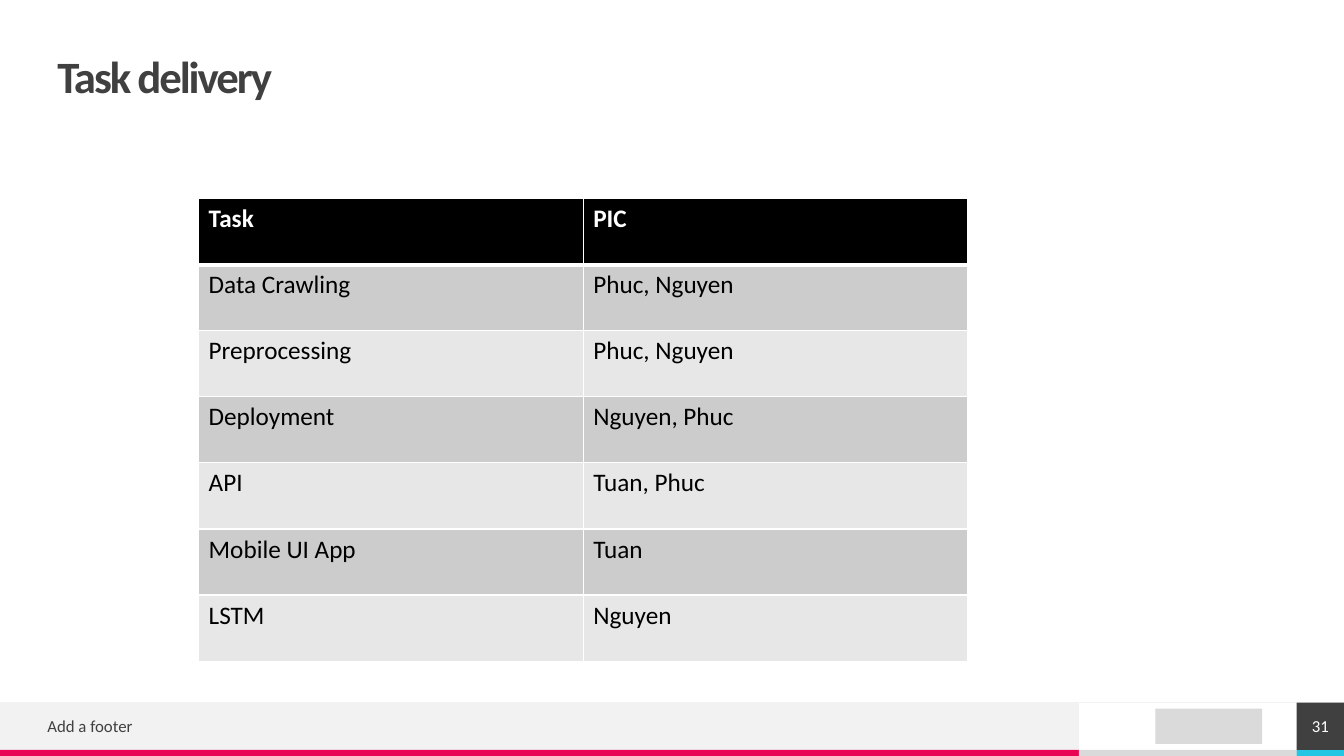
"""Build the task delivery slide."""
from lxml import etree
from pptx import Presentation
from pptx import util as u
from pptx.dml.color import RGBColor
from pptx.enum import shapes, text
from pptx.oxml.ns import qn

COLOURS = {
    "white": "FFFFFF", "black": "000000", "ink": "404040",
    "band": "F2F2F2", "stripe": "DADADA", "pink": "E80554", "cyan": "25C6E3",
    "odd_row": "CCCCCC", "even_row": "E7E7E7",
}
FONT = "Calibri"
TASKS = [
    ("Task", "PIC"),
    ("Data Crawling", "Phuc, Nguyen"),
    ("Preprocessing", "Phuc, Nguyen"),
    ("Deployment", "Nguyen, Phuc"),
    ("API", "Tuan, Phuc"),
    ("Mobile UI App", "Tuan"),
    ("LSTM", "Nguyen"),
]


def colour(name):
    """Return the named colour."""
    return RGBColor.from_string(COLOURS[name])


def add_run(paragraph, words, size, ink, bold=False, spacing=0):
    """Append a styled run, with letter spacing in points."""
    run = paragraph.add_run()
    run.text = words
    run.font.name = FONT
    run.font.size = u.Pt(size)
    run.font.bold = bold
    run.font.color.rgb = colour(ink)
    if spacing:
        run.font._element.set("spc", str(round(spacing * 100)))


def set_frame(frame, insets, anchor):
    """Set wrapping, insets (left, top, right, bottom) and anchor; return the first paragraph."""
    frame.word_wrap = True
    frame.margin_left, frame.margin_top, frame.margin_right, frame.margin_bottom = map(u.Inches, insets)
    frame.vertical_anchor = anchor
    return frame.paragraphs[0]


def add_label(slide, box, insets=(0, 0, 0, 0), anchor=text.MSO_ANCHOR.MIDDLE):
    """Add a text box and return its first paragraph."""
    label = slide.shapes.add_textbox(*map(u.Inches, box))
    return set_frame(label.text_frame, insets, anchor)


def add_block(slide, box, fill):
    """Add a plain filled rectangle."""
    block = slide.shapes.add_shape(shapes.MSO_SHAPE.RECTANGLE, *map(u.Inches, box))
    block.shadow.inherit = False
    block.fill.solid()
    block.fill.fore_color.rgb = colour(fill)
    block.line.fill.background()
    return block


def add_title(slide, box):
    """Place the slide title."""
    heading = add_label(slide, box, (0.1, 0.05, 0.1, 0.05), text.MSO_ANCHOR.TOP)
    heading.line_spacing = 0.9
    add_run(heading, "Task delivery", 32, "ink", True, -1.5)


def set_borders(cell, widths):
    """Draw white cell borders, given widths in points by side in the order L, R, T, B."""
    properties = cell._tc.get_or_add_tcPr()
    for position, (side, width) in enumerate(widths.items()):
        edge = etree.Element(qn(f"a:ln{side}"), w=str(u.Pt(width)))
        fill = etree.SubElement(edge, qn("a:solidFill"))
        etree.SubElement(fill, qn("a:srgbClr"), val=COLOURS["white"])
        properties.insert(position, edge)


def add_tasks(slide, box):
    """Place the table of tasks and people in charge."""
    table = slide.shapes.add_table(len(TASKS), len(TASKS[0]), *map(u.Inches, box)).table
    for row, entries in enumerate(TASKS):
        header = row == 0
        fill = "black" if header else "odd_row" if row % 2 else "even_row"
        for column, entry in enumerate(entries):
            cell = table.cell(row, column)
            cell.fill.solid()
            cell.fill.fore_color.rgb = colour(fill)
            set_borders(cell, {"L": 1, "R": 1, "T": 3 if row == 1 else 1, "B": 3 if header else 1})
            add_run(cell.text_frame.paragraphs[0], entry, 18, "white" if header else "black", header)


def add_footer(slide, box):
    """Place the footer band, its stripes, a plain block and the slide number."""
    left, top, width, height = box
    stripe = 0.06
    number_side = height - stripe
    panel_width = 2.16
    number_left = left + width - number_side
    band_width = number_left - panel_width - left
    panel_left = left + band_width
    stripe_top = top + number_side

    add_block(slide, (left, top, band_width, number_side), "band")
    for stripe_left, stripe_width, fill in (
        (left, band_width, "pink"),
        (panel_left, panel_width, "stripe"),
        (number_left, number_side, "cyan"),
    ):
        add_block(slide, (stripe_left, stripe_top, stripe_width, stripe), fill)

    rule = slide.shapes.add_connector(
        shapes.MSO_CONNECTOR.STRAIGHT, *map(u.Inches, (left + width, top, left, top)))
    rule.line.color.rgb = colour("band")
    rule.line.width = u.Pt(0.5)
    etree.SubElement(rule._element.spPr, qn("a:effectLst"))

    add_block(slide, (panel_left + 0.76, top + 0.06, 1.06, 0.35), "stripe")
    add_run(add_label(slide, (left + 0.47, top + 0.07, 6.19, 0.32)), "Add a footer", 12, "ink")

    number = add_block(slide, (number_left, top, number_side, number_side), "ink")
    digits = set_frame(number.text_frame, (0, 0, 0, 0), text.MSO_ANCHOR.MIDDLE)
    digits.alignment = text.PP_ALIGN.CENTER
    add_run(digits, "31", 12, "white")


def main():
    """Build and save the slide."""
    deck = Presentation()
    deck.slide_width, deck.slide_height = u.Inches(13.33), u.Inches(7.5)
    slide = deck.slides.add_slide(deck.slide_layouts[6])
    add_footer(slide, (0, 6.97, 13.33, 0.53))
    add_tasks(slide, (1.97, 1.97, 7.63, 4.59))
    add_title(slide, (0.47, 0.49, 4, 0.47))
    deck.save("out.pptx")


if __name__ == "__main__":
    main()
